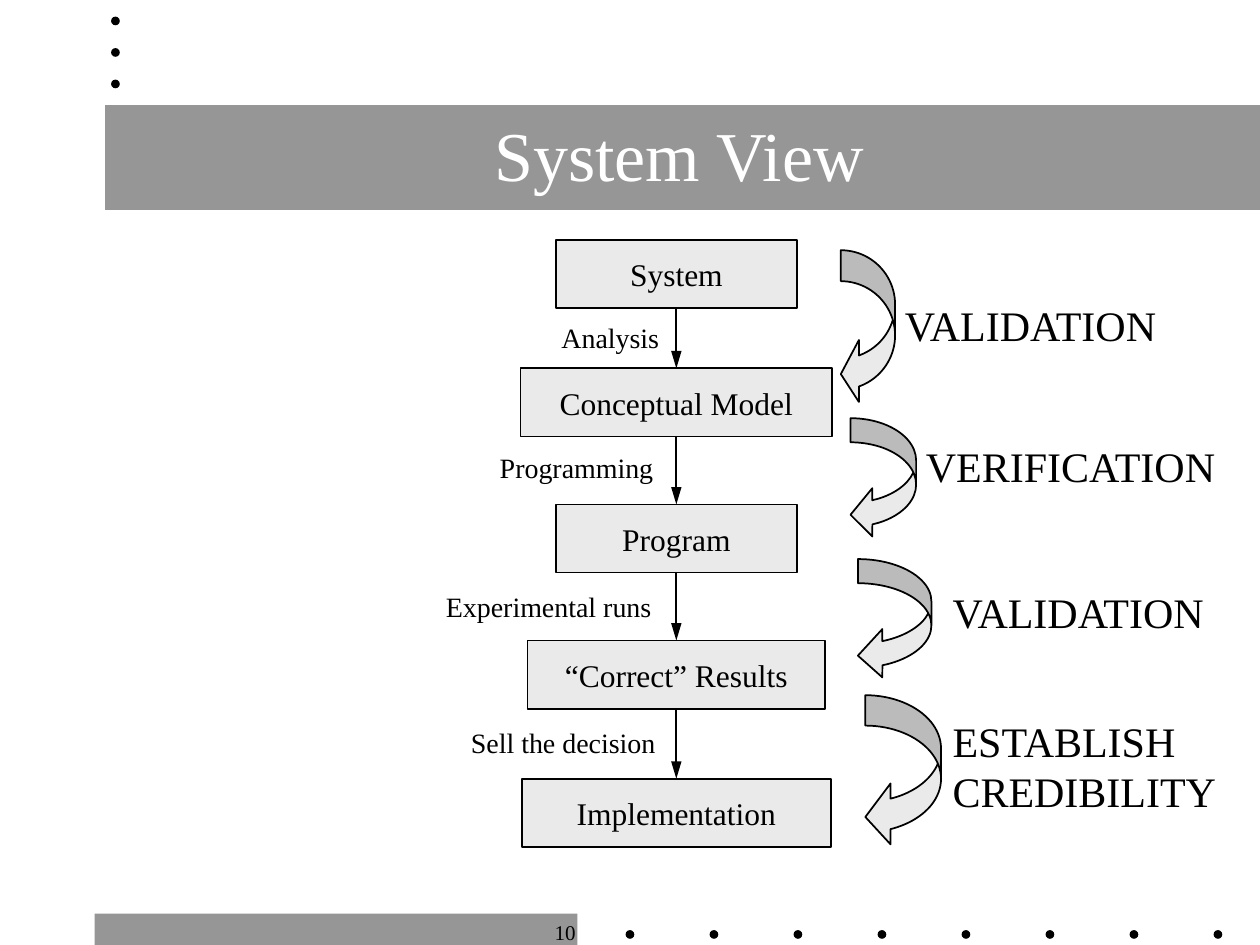
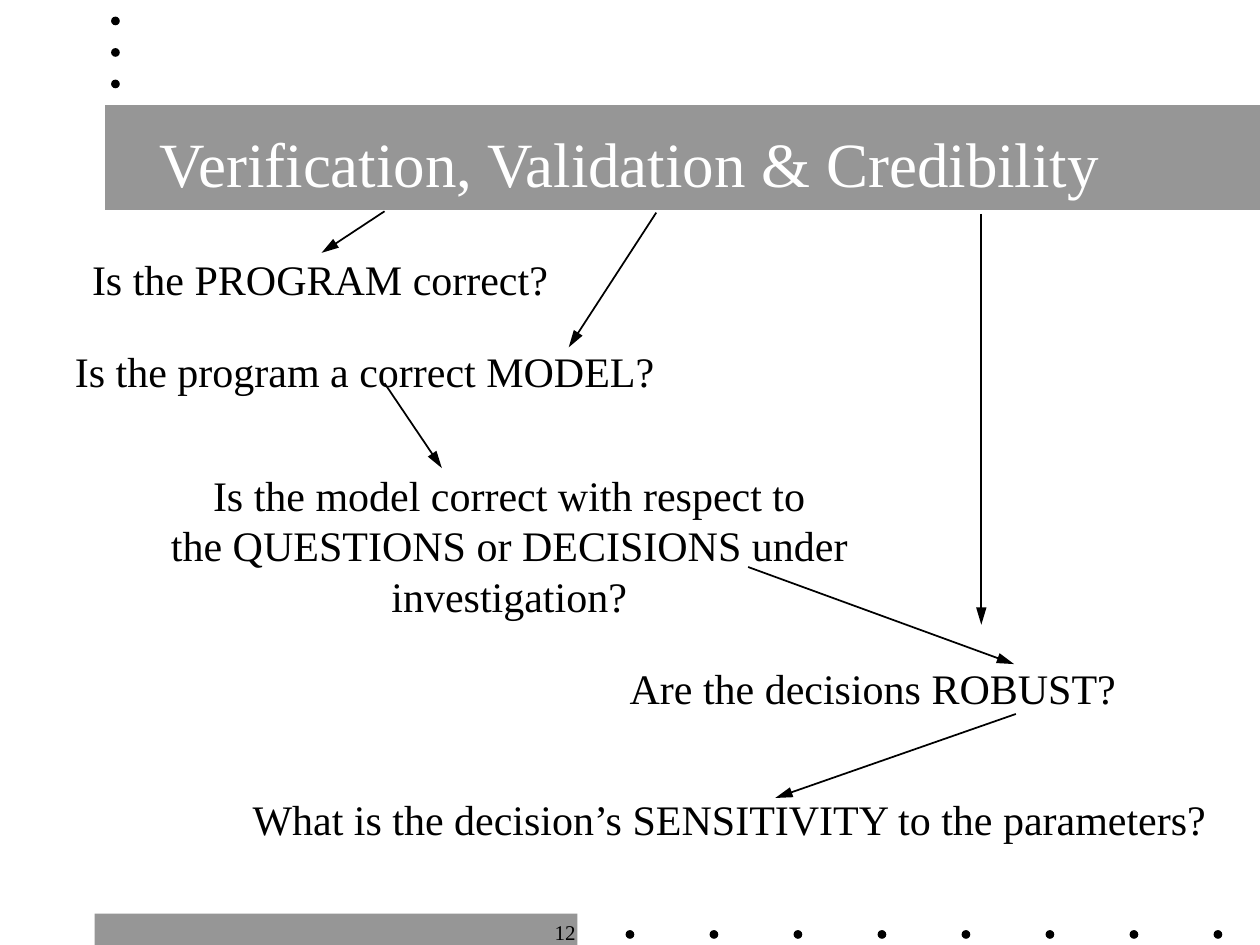
from pptx import Presentation
from pptx import util as u
from pptx.dml.color import RGBColor
from pptx.enum import shapes, text
from pptx.oxml.ns import qn
from lxml import etree

Pt = u.Pt
BLACK = RGBColor(0x00, 0x00, 0x00)
WHITE = RGBColor(0xFF, 0xFF, 0xFF)
BAND = RGBColor(0x96, 0x96, 0x96)
PALE = RGBColor(0xEA, 0xEA, 0xEA)
FONT = "Times New Roman"
LINE = 1
LEFT, CENTER, RIGHT = text.PP_ALIGN.LEFT, text.PP_ALIGN.CENTER, text.PP_ALIGN.RIGHT
SHAPE = shapes.MSO_SHAPE


def add_shape(s, kind, x, y, w, h, fill, outlined=False):
    """Add a filled preset shape, with a thin black outline if asked."""
    sp = s.shapes.add_shape(kind, Pt(x), Pt(y), Pt(w), Pt(h))
    sp.shadow.inherit = False
    sp.fill.solid()
    sp.fill.fore_color.rgb = fill
    if outlined:
        sp.line.color.rgb = BLACK
        sp.line.width = Pt(LINE)
    else:
        sp.line.fill.background()
    return sp


def write(sp, words, size, color=BLACK, align=LEFT, middle=False):
    """Write one paragraph for each line of words."""
    tf = sp.text_frame
    tf.word_wrap = True
    tf.vertical_anchor = text.MSO_ANCHOR.MIDDLE if middle else text.MSO_ANCHOR.TOP
    tf.text = words
    for p in tf.paragraphs:
        p.alignment = align
        p.font.name = FONT
        p.font.size = Pt(size)
        p.font.color.rgb = color


def add_label(s, words, x, y, w, h, size, **style):
    """Add a text box."""
    write(s.shapes.add_textbox(Pt(x), Pt(y), Pt(w), Pt(h)), words, size, **style)


def add_arrow(s, x1, y1, x2, y2):
    """Add a thin black arrow that points at its second end."""
    c = s.shapes.add_connector(shapes.MSO_CONNECTOR.STRAIGHT,
                               Pt(x1), Pt(y1), Pt(x2), Pt(y2))
    c.line.color.rgb = BLACK
    c.line.width = Pt(LINE)
    etree.SubElement(c.line._get_or_add_ln(), qn("a:tailEnd"), type="triangle", len="lg")
    etree.SubElement(c._element.spPr, qn("a:effectLst"))
    return c


def add_curved_arrow(s, x, y, w, h):
    """Add an arrow that curves back to the left, its head scaled to its height."""
    sp = add_shape(s, SHAPE.CURVED_LEFT_ARROW, x, y, w, h, PALE, outlined=True)
    for i, value in enumerate((0.2 * h / w, 0.4 * h / w, 1 / 3)):
        sp.adjustments[i] = value


def add_slide(prs, number, title, size, x, y):
    """Add a slide with bands, dots, page number and title."""
    s = prs.slides.add_slide(prs.slide_layouts[6])
    add_shape(s, SHAPE.RECTANGLE, 54, 522, 276, 18, BAND)
    add_shape(s, SHAPE.RECTANGLE, 60, 60, 660, 60, BAND)
    dots = [(357.5 + 48 * i, 531.5) for i in range(8)]
    dots += [(63.5, 9.5 + 18 * i) for i in range(3)]
    for dot_x, dot_y in dots:
        add_shape(s, SHAPE.OVAL, dot_x, dot_y, 5, 5, BLACK)
    add_label(s, str(number), 300, 522, 36, 21.6, 12, align=RIGHT)
    add_label(s, title, x, y, 612, 90, size, color=WHITE, align=CENTER, middle=True)
    return s


def system_view(prs):
    """Build the flow from system to implementation with its checks."""
    s = add_slide(prs, 10, "System View", 40, 82, 42.5)
    axis, box_h = 386.5, 39
    stages = [("System", 137.25, 137.5), ("Conceptual Model", 210.5, 178),
              ("Program", 288.25, 137.5), ("\u201cCorrect\u201d Results", 366, 170),
              ("Implementation", 445, 176.5)]
    boxes = []
    for words, y, w in stages:
        box = add_shape(s, SHAPE.RECTANGLE, axis - w / 2, y, w, box_h, PALE, outlined=True)
        write(box, words, 18, align=CENTER, middle=True)
        boxes.append(box)
    for upper, lower in zip(boxes, boxes[1:]):
        c = add_arrow(s, axis, 0, axis, 0)
        c.begin_connect(upper, 2)
        c.end_connect(lower, 0)

    steps = [("Analysis", 313.75, 179.5, 73), ("Programming", 278.5, 254, 105),
             ("Experimental runs", 247.75, 333.5, 150),
             ("Sell the decision", 262, 411.25, 123)]
    for words, x, y, w in steps:
        add_label(s, words, x, y, w, 26.5, 16)

    for place in [(480.5, 143, 31, 88.5), (486, 239, 37.5, 69),
                  (490.25, 319.5, 42, 69), (494.5, 397.25, 43.25, 87)]:
        add_curved_arrow(s, *place)

    checks = [("VALIDATION", 510, 167.5, 165, 36), ("VERIFICATION", 522, 248, 185, 36),
              ("VALIDATION", 537.25, 331.5, 165, 36),
              ("ESTABLISH\nCREDIBILITY", 537.25, 405.25, 169, 65)]
    for words, x, y, w, h in checks:
        add_label(s, words, x, y, w, h, 24)


def credibility(prs):
    """Build the chain of questions behind the three terms of the title."""
    s = add_slide(prs, 12, "Verification, Validation & Credibility", 36, 54, 48)
    questions = [("Is the PROGRAM correct?", 45.5, 141.5, 278),
                 ("Is the program a correct MODEL?", 35.75, 194, 349),
                 ("Are the decisions ROBUST?", 352.75, 375, 296),
                 ("What is the decision\u2019s SENSITIVITY to the parameters?",
                  137.25, 449.75, 565)]
    for words, x, y, w in questions:
        add_label(s, words, x, y, w, 36, 24)
    add_label(s, "Is the model correct with respect to\n"
              "the QUESTIONS or DECISIONS under investigation?",
              57.75, 264.75, 466.5, 94, 24, align=CENTER)

    for ends in [(219.75, 120.75, 183.75, 144.5), (375, 121.5, 325, 198.5),
                 (219.75, 219, 252.5, 267.5), (427.5, 324, 579.5, 379.5),
                 (580.5, 408, 443, 456), (560.75, 122.25, 560.75, 357)]:
        add_arrow(s, *ends)


def main():
    """Build and save the slides."""
    prs = Presentation()
    prs.slide_width, prs.slide_height = Pt(720), Pt(540)
    system_view(prs)
    credibility(prs)
    prs.save("out.pptx")


main()
